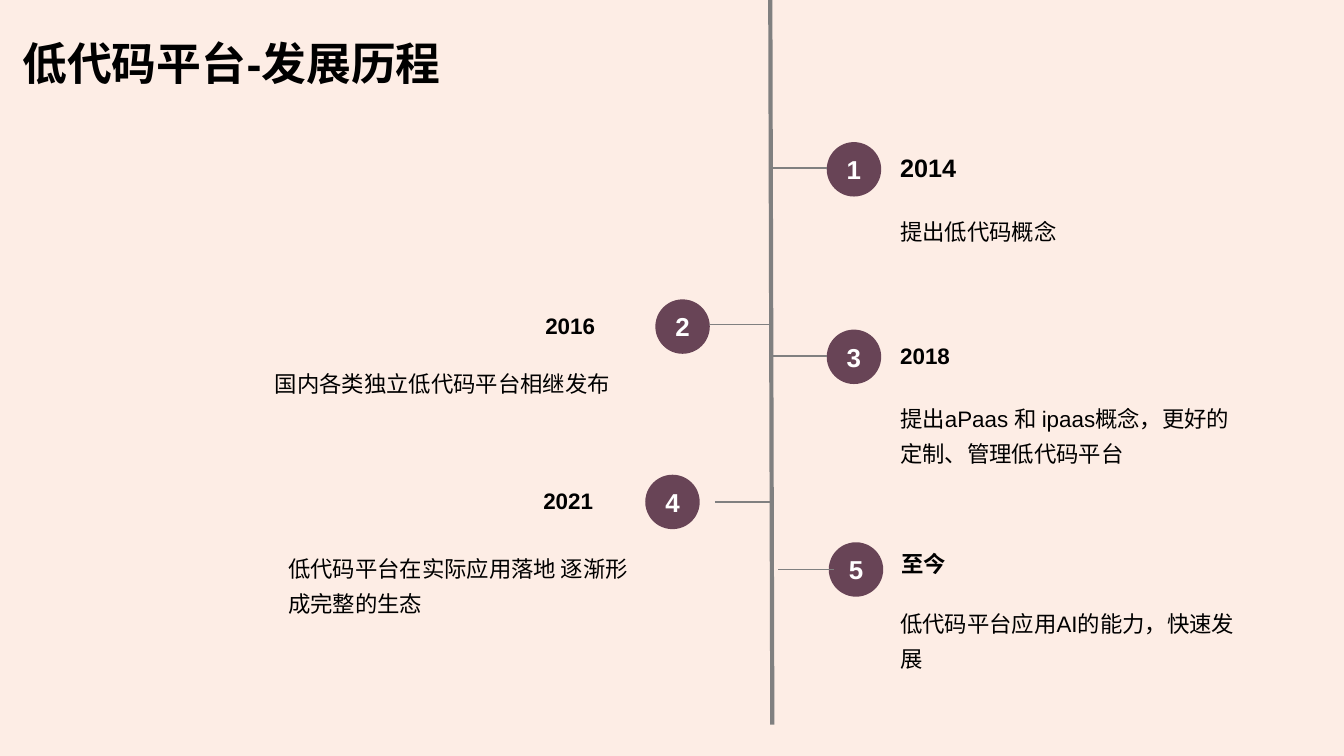
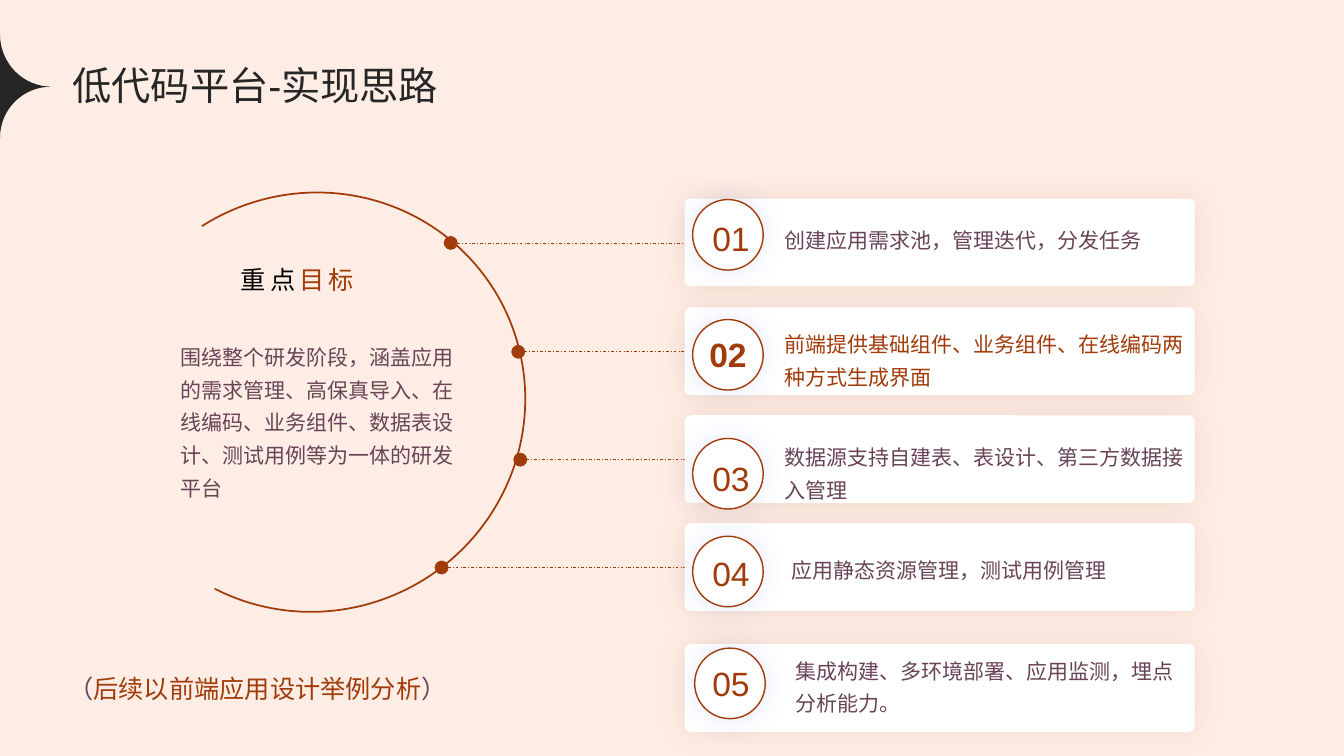
"""Build two slides on low-code platforms: a timeline and an implementation plan."""
from dataclasses import dataclass

from lxml import etree
from pptx import Presentation
from pptx import util as u
from pptx.dml.color import RGBColor
from pptx.enum import dml, shapes, text
from pptx.oxml import ns

LEFT, CENTER, RIGHT = text.PP_ALIGN.LEFT, text.PP_ALIGN.CENTER, text.PP_ALIGN.RIGHT
TOP, MIDDLE, BOTTOM = text.MSO_ANCHOR.TOP, text.MSO_ANCHOR.MIDDLE, text.MSO_ANCHOR.BOTTOM


@dataclass(frozen=True)
class Theme:
    font: str = "Arial"
    background: str = "FDEDE5"
    black: str = "000000"
    dark: str = "262626"
    white: str = "FFFFFF"
    plum: str = "684456"
    rust: str = "A13B0A"
    gray: str = "808080"
    blue: str = "1840D5"
    title: float = 32
    plain_title: float = 28
    number: float = 24
    badge: float = 18.5
    heading: float = 18
    body: float = 16
    note: float = 15


class Deck:
    def __init__(self, theme):
        self.theme = theme
        self.presentation = Presentation()
        self.presentation.slide_width = u.Inches(13.33)
        self.presentation.slide_height = u.Inches(7.5)
        self.slide = None

    def new_slide(self):
        self.slide = self.presentation.slides.add_slide(self.presentation.slide_layouts[5])
        fill = self.slide.background.fill
        fill.solid()
        fill.fore_color.rgb = RGBColor.from_string(self.theme.background)

    def set_text(self, shape, runs, size, bold=False, align=LEFT, anchor=TOP,
                 leading=None, margins=None, tracking=None):
        frame = shape.text_frame
        frame.word_wrap = True
        frame.auto_size = text.MSO_AUTO_SIZE.NONE
        frame.vertical_anchor = anchor
        if margins is not None:
            frame.margin_left = frame.margin_right = u.Inches(margins)
            frame.margin_top = frame.margin_bottom = u.Inches(margins)
        paragraph = frame.paragraphs[0]
        paragraph.alignment = align
        paragraph.line_spacing = leading
        for words, color in runs:
            run = paragraph.add_run()
            run.text = words
            run.font.name = self.theme.font
            run.font.size = u.Pt(size)
            run.font.bold = bold
            run.font.color.rgb = RGBColor.from_string(color)
            if tracking:
                run.font._element.set("spc", str(tracking * 100))

    def title(self, words, box, size, color, **style):
        shape = self.slide.shapes.title
        shape.left, shape.top, shape.width, shape.height = map(u.Inches, box)
        self.set_text(shape, [(words, color)], size, **style)

    def label(self, runs, box, size, **style):
        shape = self.slide.shapes.add_textbox(*map(u.Inches, box))
        self.set_text(shape, runs, size, **style)

    def paint(self, shape, fill=None, line=None, width=1, glow=None):
        shape.shadow.inherit = False
        if fill:
            shape.fill.solid()
            shape.fill.fore_color.rgb = RGBColor.from_string(fill)
        else:
            shape.fill.background()
        if line:
            shape.line.color.rgb = RGBColor.from_string(line)
            shape.line.width = u.Pt(width)
        else:
            shape.line.fill.background()
        if glow:
            effects = shape._element.spPr.find(ns.qn("a:effectLst"))
            shadow = etree.SubElement(effects, ns.qn("a:outerShdw"), blurRad=str(u.Pt(20)),
                                      dist="0", dir="0", algn="ctr", rotWithShape="0")
            color = etree.SubElement(shadow, ns.qn("a:srgbClr"), val=glow)
            etree.SubElement(color, ns.qn("a:alpha"), val="11000")

    def shape(self, kind, box, **look):
        shape = self.slide.shapes.add_shape(kind, *map(u.Inches, box))
        self.paint(shape, **look)
        return shape

    def badge(self, number, left, top):
        circle = self.shape(shapes.MSO_SHAPE.OVAL, (left, top, 0.54, 0.54), fill=self.theme.plum)
        self.set_text(circle, [(number, self.theme.white)], self.theme.badge, bold=True,
                      align=CENTER, anchor=MIDDLE, margins=0)

    def card(self, left, top):
        card = self.shape(shapes.MSO_SHAPE.ROUNDED_RECTANGLE, (left, top, 5.06, 0.87),
                          fill=self.theme.white, glow=self.theme.rust)
        card.adjustments[0] = 0.07

    def ring(self, left, top):
        self.shape(shapes.MSO_SHAPE.OVAL, (left, top, 0.7, 0.7), fill=self.theme.white,
                   line=self.theme.rust, glow=self.theme.blue)

    def arc(self, box, rotation, start, end):
        arc = self.shape(shapes.MSO_SHAPE.ARC, box, line=self.theme.rust, width=1.25)
        arc.adjustments[0], arc.adjustments[1] = start, end
        arc.rotation = rotation

    def line(self, start, end, color, width, dotted=False):
        line = self.slide.shapes.add_connector(
            shapes.MSO_CONNECTOR.STRAIGHT, *map(u.Inches, (*start, *end)))
        line.line.color.rgb = RGBColor.from_string(color)
        line.line.width = u.Pt(width)
        properties = line._element.spPr
        if dotted:
            line.line.dash_style = dml.MSO_LINE.DASH_DOT
            etree.SubElement(properties.find(ns.qn("a:ln")), ns.qn("a:headEnd"), type="oval",
                             w="lg", len="lg")
        etree.SubElement(properties, ns.qn("a:effectLst"))

    def curved_shape(self, curves, color, steps=16):
        points = []
        for a, b, c, d in curves:
            for step in range(steps + 1):
                t = step / steps
                s = 1 - t
                points.append(tuple(
                    u.Inches(s**3 * p + 3 * s * s * t * q + 3 * s * t * t * r + t**3 * v)
                    for p, q, r, v in zip(a, b, c, d)))
        builder = self.slide.shapes.build_freeform(*points[0])
        builder.add_line_segments(points[1:], close=True)
        self.paint(builder.convert_to_shape(), fill=color)


def build_timeline(deck):
    theme = deck.theme
    deck.new_slide()
    deck.title("低代码平台-发展历程", (0.12, 0.33, 7.24, 0.61), theme.title, theme.black,
               bold=True, anchor=BOTTOM)
    deck.line((7.64, 0), (7.66, 7.19), theme.gray, 3)
    milestones = [
        ("1", 8.2, 1.41, (7.65, 8.2, 1.67), "2014", theme.heading, (8.83, 1.36), LEFT,
         "提出低代码概念", (8.83, 2.03, 3.6, 0.42)),
        ("2", 6.5, 2.97, (7.03, 7.64, 3.22), "2016", theme.body, (2.4, 2.92), RIGHT,
         "国内各类独立低代码平台相继发布", (2.25, 3.54, 3.9, 0.4)),
        ("3", 8.2, 3.27, (7.65, 8.2, 3.53), "2018", theme.body, (8.83, 3.22), LEFT,
         "提出aPaas 和 ipaas概念，更好的定制、管理低代码平台", (8.83, 3.89, 3.6, 0.77)),
        ("4", 6.4, 4.71, (7.09, 7.64, 4.98), "2021", theme.body, (5.29, 4.66), LEFT,
         "低代码平台在实际应用落地 逐渐形成完整的生态", (2.76, 5.38, 3.6, 0.77)),
        ("5", 8.22, 5.38, (7.72, 8.27, 5.65), "至今", theme.body, (8.84, 5.29), LEFT,
         "低代码平台应用AI的能力，快速发展", (8.83, 5.92, 3.6, 0.77)),
    ]
    for number, left, top, branch, year, size, place, align, words, box in milestones:
        start, end, height = branch
        deck.badge(number, left, top)
        deck.line((start, height), (end, height), theme.gray, 1.25)
        deck.label([(year, theme.black)], (*place, 3.6, 0.61), size, bold=True,
                   align=align, anchor=MIDDLE)
        deck.label([(words, theme.black)], box, theme.body, align=align, leading=1.3)


def build_plan(deck):
    theme = deck.theme
    deck.new_slide()
    deck.title("低代码平台-实现思路", (0.72, 0.57, 5.71, 0.55), theme.plain_title, theme.dark,
               anchor=MIDDLE, margins=0)
    deck.curved_shape([((0, 0.34), (0, 0.63), (0.23, 0.86), (0.51, 0.86)),
                       ((0.51, 0.86), (0.23, 0.86), (0, 1.08), (0, 1.37))], theme.dark)
    deck.arc((1.01, 1.92, 4.21, 4.14), 327.5, 162, 90.32)
    deck.label([("重点", theme.black), ("目标", theme.rust)], (2.16, 2.57, 1.58, 0.4),
               theme.heading, align=CENTER, tracking=3)
    deck.label([("围绕整个研发阶段，涵盖应用的需求管理、高保真导入、在线编码、业务组件、"
                 "数据表设计、测试用例等为一体的研发平台", theme.plum)],
               (1.69, 3.3, 3.01, 1.71), theme.note, anchor=MIDDLE, leading=1.3)
    deck.label([("（", theme.plum), ("后续以前端应用设计举例分析", theme.rust), ("）", theme.plum)],
               (0.58, 6.63, 6.66, 0.4), theme.heading)
    steps = [
        ("01", 1.97, 4.47, (6.87, 1.98), (6.89, 2.11), (7.68, 2.14, 4.53, 0.4),
         "创建应用需求池，管理迭代，分发任务"),
        ("02", 3.05, 5.14, (6.87, 3.17), (6.86, 3.26), (7.68, 3.18, 4.17, 0.72),
         "前端提供基础组件、业务组件、在线编码两种方式生成界面"),
        ("03", 4.12, 5.16, (6.87, 4.35), (6.89, 4.49), (7.68, 4.3, 4.26, 0.72),
         "数据源支持自建表、表设计、第三方数据接入管理"),
        ("04", 5.19, 4.38, (6.87, 5.32), (6.89, 5.44), (7.75, 5.42, 4.53, 0.4),
         "应用静态资源管理，测试用例管理"),
        ("05", 6.39, None, (6.89, 6.43), (6.89, 6.53), (7.79, 6.42, 4.06, 0.72),
         "集成构建、多环境部署、应用监测，埋点分析能力。"),
    ]
    for number, top, dot, ring, place, box, words in steps:
        if dot:
            height = top + 0.44
            deck.line((dot, height), (dot + 3.39, height), theme.rust, 0.5, dotted=True)
        deck.card(6.79, top)
    for number, top, dot, ring, place, box, words in steps:
        current = number == "02"
        deck.ring(*ring)
        deck.label([(number, theme.rust)], (*place, 0.72, 0.5), theme.number,
                   bold=current, align=CENTER)
        deck.label([(words, theme.rust if current else theme.plum)], box, theme.note,
                   anchor=MIDDLE, leading=1.3)


def main():
    deck = Deck(Theme())
    build_timeline(deck)
    build_plan(deck)
    deck.presentation.save("out.pptx")


if __name__ == "__main__":
    main()
